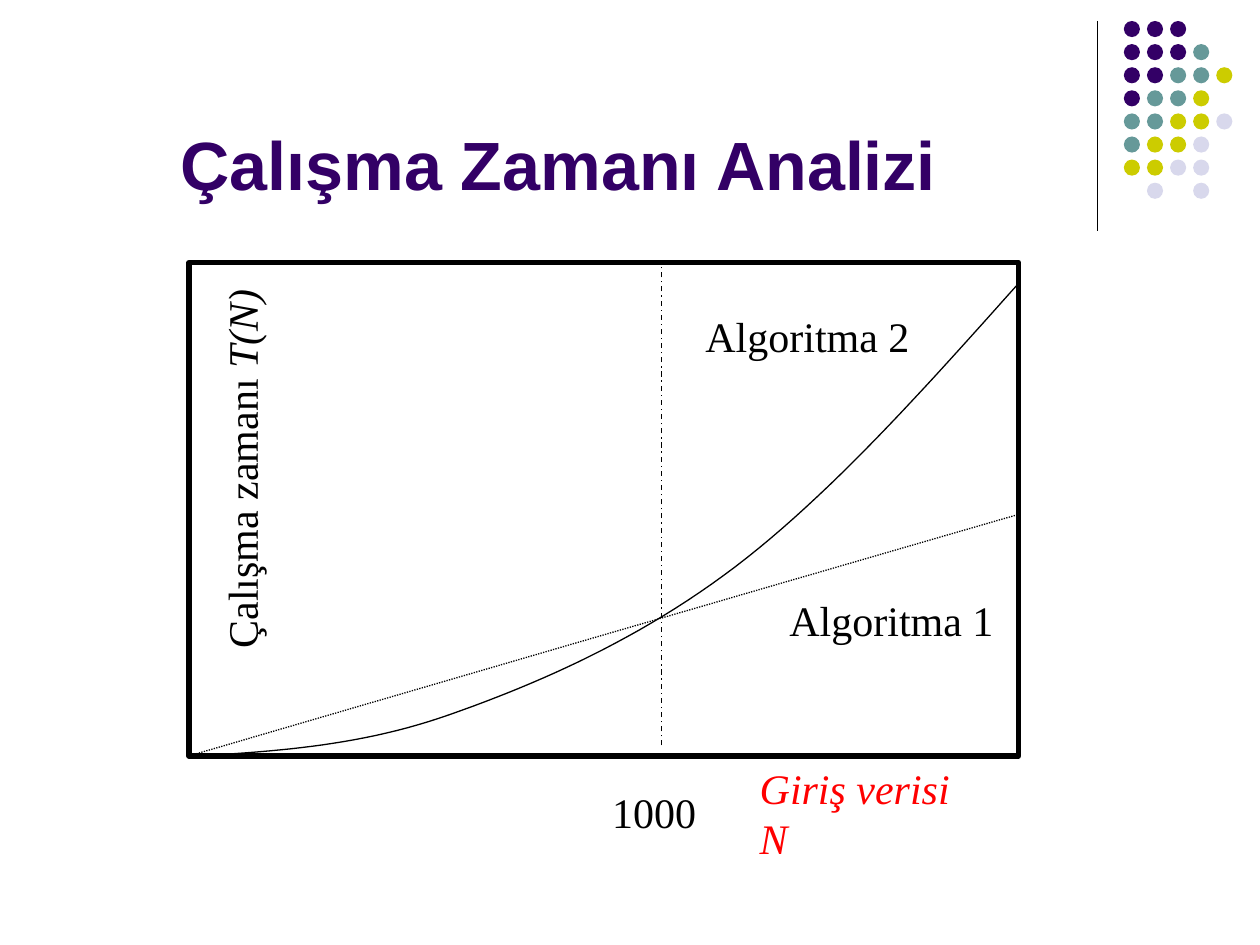
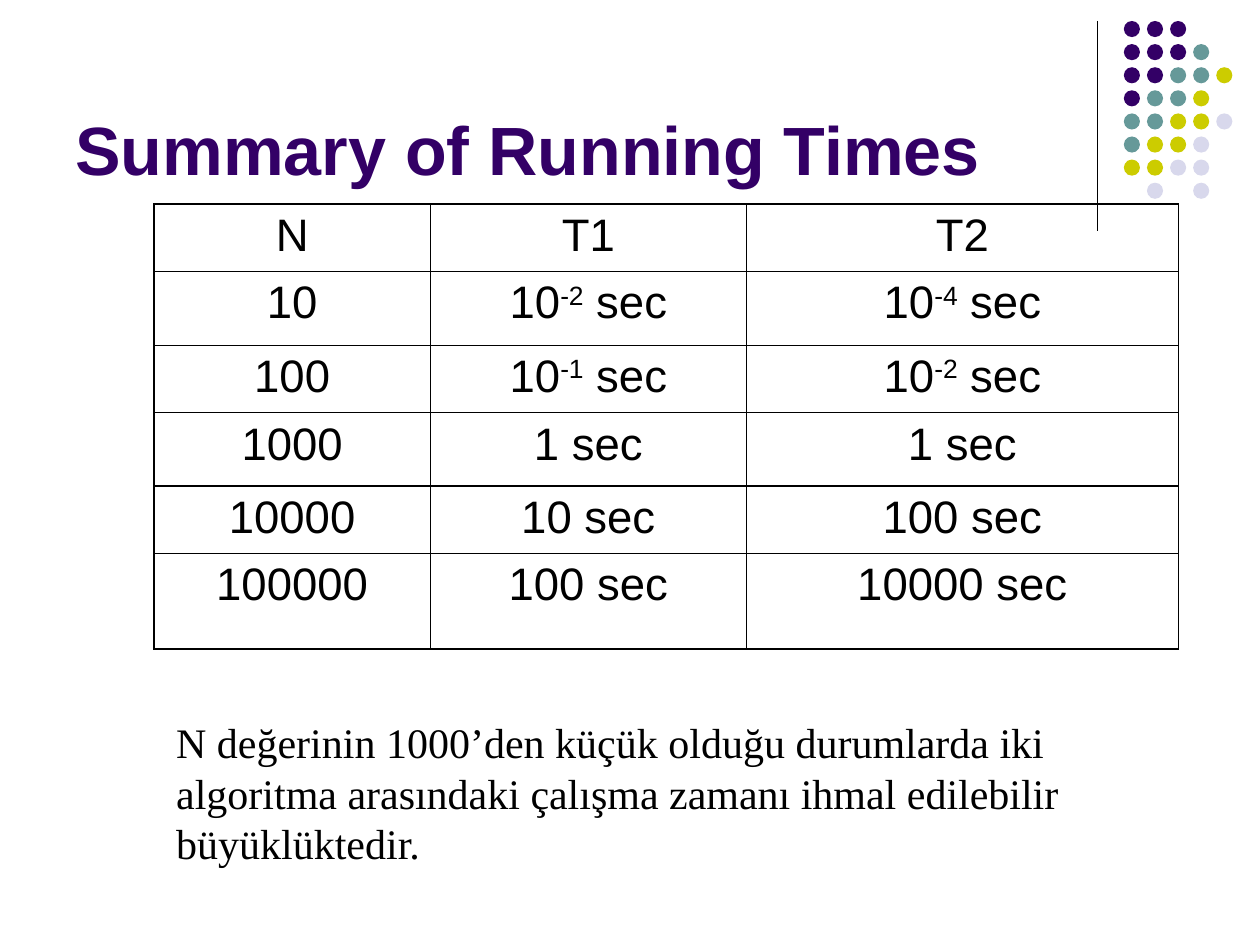
from dataclasses import dataclass

from lxml import etree
from pptx import Presentation
from pptx.dml.color import RGBColor
from pptx.enum.dml import MSO_LINE
from pptx.enum.shapes import MSO_CONNECTOR, MSO_SHAPE
from pptx.enum.text import MSO_ANCHOR, PP_ALIGN
from pptx.oxml.ns import qn
from pptx.util import Pt

OVAL, RECT = MSO_SHAPE.OVAL, MSO_SHAPE.RECTANGLE
STRAIGHT = MSO_CONNECTOR.STRAIGHT
DOTTED, DASH_DOT = MSO_LINE.ROUND_DOT, MSO_LINE.DASH_DOT
TOP, BOTTOM = MSO_ANCHOR.TOP, MSO_ANCHOR.BOTTOM
CENTER = PP_ALIGN.CENTER

COLORS = {
    "ink": "000000",
    "plum": "330066",
    "teal": "669999",
    "lime": "CCCC00",
    "mist": "D8D8EC",
    "red": "FF0000",
}
SANS, SERIF = "Arial", "Times New Roman"
DOTS = ("ppp", "pppt", "pptty", "ptty", "ttyyl", "tyyl", "yyll", " l l")
DOT_COLORS = {"p": "plum", "t": "teal", "y": "lime", "l": "mist"}
DOT_LEFT, DOT_TOP, DOT_STEP, DOT_SIZE = 642.2, 12, 13.2, 9.2

Point = tuple[float, float]


@dataclass(frozen=True)
class Run:
    text: str
    font: str = SERIF
    size: float = 24
    color: str = "ink"
    bold: bool = False
    italic: bool = False
    raised: bool = False


@dataclass(frozen=True)
class Label:
    left: float
    top: float
    width: float
    height: float
    runs: tuple[Run, ...]
    wrap: bool = False
    turn: float = 0
    before: float = 0
    anchor: MSO_ANCHOR = TOP


@dataclass(frozen=True)
class Curve:
    """A start point and cubic bends of two controls and an end."""
    start: Point
    bends: tuple[tuple[Point, Point, Point], ...]
    dash: MSO_LINE | None = None


def rgb(name: str) -> RGBColor:
    return RGBColor.from_string(COLORS[name])


def add_runs(para, runs: tuple[Run, ...]) -> None:
    for item in runs:
        run = para.add_run()
        run.text = item.text
        font = run.font
        font.name, font.size = item.font, Pt(item.size)
        font.bold, font.italic = item.bold, item.italic
        font.color.rgb = rgb(item.color)
        if item.raised:
            run._r.get_or_add_rPr().set("baseline", "30000")


def add_label(slide, label: Label) -> None:
    box = slide.shapes.add_textbox(
        Pt(label.left), Pt(label.top), Pt(label.width), Pt(label.height))
    box.rotation = label.turn
    frame = box.text_frame
    frame.word_wrap, frame.vertical_anchor = label.wrap, label.anchor
    para = frame.paragraphs[0]
    para.space_before = Pt(label.before)
    add_runs(para, label.runs)


def add_title(slide, text: str, left: float, top: float,
              width: float, height: float) -> None:
    run = Run(text, SANS, 39, "plum", bold=True)
    add_label(slide, Label(left, top, width, height, (run,),
                           wrap=True, anchor=BOTTOM))


def set_line(shape, width: float, dash: MSO_LINE | None = None) -> None:
    shape.line.color.rgb = rgb("ink")
    shape.line.width = Pt(width)
    if dash is not None:
        shape.line.dash_style = dash


def add_line(slide, start: Point, end: Point,
             dash: MSO_LINE | None = None) -> None:
    line = slide.shapes.add_connector(
        STRAIGHT, *(Pt(value) for value in start + end))
    set_line(line, 0.75, dash)
    etree.SubElement(line._element.spPr, qn("a:effectLst"))


def add_dots(slide) -> None:
    group = slide.shapes.add_group_shape()
    for row, marks in enumerate(DOTS):
        for col, mark in enumerate(marks):
            if mark not in DOT_COLORS:
                continue
            dot = group.shapes.add_shape(
                OVAL, Pt(DOT_LEFT + col * DOT_STEP),
                Pt(DOT_TOP + row * DOT_STEP), Pt(DOT_SIZE), Pt(DOT_SIZE))
            dot.shadow.inherit = False
            dot.fill.solid()
            dot.fill.fore_color.rgb = rgb(DOT_COLORS[mark])
            dot.line.fill.background()


def add_page(deck):
    """Add a blank slide with the shared corner band."""
    slide = deck.slides.add_slide(deck.slide_layouts[6])
    add_line(slide, (627, 12), (627, 132))
    add_dots(slide)
    return slide


def trace(curve: Curve, steps: int = 24) -> list[Point]:
    """Sample the cubic bends after the start point."""
    points, start = [], curve.start
    for one, two, end in curve.bends:
        for step in range(1, steps + 1):
            t = step / steps
            u = 1 - t
            points.append(tuple(
                u**3 * a + 3 * u * u * t * b + 3 * u * t * t * c + t**3 * d
                for a, b, c, d in zip(start, one, two, end)))
        start = end
    return points


def add_curve(slide, curve: Curve) -> None:
    x, y = curve.start
    pen = slide.shapes.build_freeform(Pt(x), Pt(y))
    pen.add_line_segments(
        [(Pt(x), Pt(y)) for x, y in trace(curve)], close=False)
    shape = pen.convert_to_shape()
    shape.shadow.inherit = False
    shape.fill.background()
    set_line(shape, 0.75, curve.dash)


def add_frame(slide) -> None:
    frame = slide.shapes.add_shape(RECT, Pt(108), Pt(150), Pt(474), Pt(282))
    frame.shadow.inherit = False
    frame.fill.background()
    set_line(frame, 3)


CURVES = (
    Curve((108, 432), (((305, 374.4), (503, 316.8), (582, 294)),), DOTTED),
    Curve((114, 432), (
        ((160.6, 429), (207.4, 426), (258, 408)),
        ((309, 390), (366, 365), (420, 324)),
        ((474, 283), (528, 222.5), (582, 162)),
    )),
)
LABELS = (
    Label(427, 432, 144.7, 36,
          (Run("Giriş verisi N", color="red", italic=True),)),
    Label(28, 249.8, 219.6, 36,
          (Run("Çalışma zamanı "), Run("T(N)", italic=True)), turn=270),
    Label(396, 174, 131, 36, (Run("Algoritma 2"),)),
    Label(444, 336, 131, 36, (Run("Algoritma 1"),)),
    Label(342.7, 445.7, 79.2, 36, (Run("1000"),), wrap=True, before=15),
)


def add_graph(deck) -> None:
    slide = add_page(deck)
    add_title(slide, "Çalışma Zamanı Analizi", 96, 30, 612, 90)
    add_frame(slide)
    for curve in CURVES:
        add_curve(slide, curve)
    for label in LABELS:
        add_label(slide, label)
    add_line(slide, (378, 426), (378, 150), DASH_DOT)


COLS = (158, 180.5, 247)
ROWS = (38.4, 42.2, 38.6, 41.8, 38.4, 55)
HEAVY_ROWS = (0, 4, len(ROWS))
HEAVY_COLS = (0, len(COLS))
# A caret opens a raised exponent, which ends at the next blank.
TIMES = (
    ("N", "T1", "T2"),
    ("10", "10^-2 sec", "10^-4 sec"),
    ("100", "10^-1 sec", "10^-2 sec"),
    ("1000", "1 sec", "1 sec"),
    ("10000", "10 sec", "100 sec"),
    ("100000", "100 sec", "10000 sec"),
)


def cell_runs(text: str) -> tuple[Run, ...]:
    base, caret, rest = text.partition("^")
    if not caret:
        return (Run(base, SANS, 26),)
    power, gap, unit = rest.partition(" ")
    return (Run(base, SANS, 26), Run(power, SANS, 26, raised=True),
            Run(gap + unit, SANS, 26))


def set_borders(cell, row: int, col: int) -> None:
    props = cell._tc.get_or_add_tcPr()
    sides = (("lnL", col in HEAVY_COLS), ("lnR", col + 1 in HEAVY_COLS),
             ("lnT", row in HEAVY_ROWS), ("lnB", row + 1 in HEAVY_ROWS))
    for place, (side, heavy) in enumerate(sides):
        line = etree.Element(qn(f"a:{side}"), w=str(Pt(1.08 if heavy else 0.45)))
        fill = etree.SubElement(line, qn("a:solidFill"))
        etree.SubElement(fill, qn("a:srgbClr"), val=COLORS["ink"])
        props.insert(place, line)


def add_times(slide) -> None:
    table = slide.shapes.add_table(
        len(ROWS), len(COLS), Pt(88), Pt(116.6),
        Pt(sum(COLS)), Pt(sum(ROWS))).table
    table.first_row = table.horz_banding = False
    for col, width in enumerate(COLS):
        table.columns[col].width = Pt(width)
    for row, height in enumerate(ROWS):
        table.rows[row].height = Pt(height)
        for col, text in enumerate(TIMES[row]):
            cell = table.cell(row, col)
            cell.fill.background()
            set_borders(cell, row, col)
            para = cell.text_frame.paragraphs[0]
            para.alignment, para.space_before = CENTER, Pt(6.5)
            add_runs(para, cell_runs(text))


def add_summary(deck) -> None:
    slide = add_page(deck)
    add_title(slide, "Summary of Running Times", 36, 9.4, 594, 102)
    add_times(slide)
    note = Run("N değerinin 1000’den küçük olduğu durumlarda iki algoritma "
               "arasındaki çalışma zamanı ihmal edilebilir büyüklüktedir.")
    add_label(slide, Label(93.6, 406, 561.6, 93.6, (note,),
                           wrap=True, before=15))


def main() -> None:
    deck = Presentation()
    deck.slide_width, deck.slide_height = Pt(720), Pt(540)
    add_graph(deck)
    add_summary(deck)
    deck.save("out.pptx")


if __name__ == "__main__":
    main()
